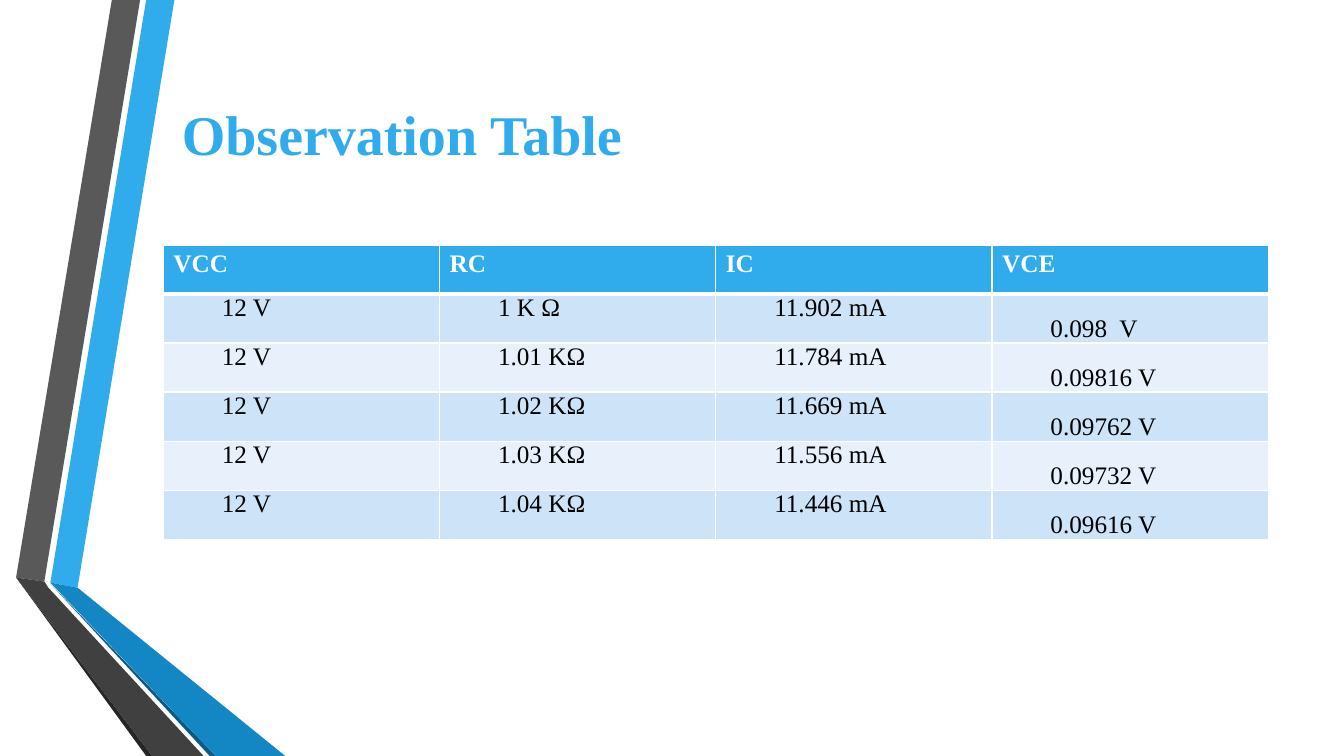
from dataclasses import dataclass

from lxml import etree
from pptx import Presentation
from pptx.dml.color import RGBColor
from pptx.enum import text
from pptx.oxml import ns
from pptx.util import Inches, Pt

FONT = "Times New Roman"
BLUE, WHITE, BLACK = "30ACEC", "FFFFFF", "000000"
BANDS = ("CDE3F8", "E8F1FB")


@dataclass
class Ribbon:
    color: str
    points: list[tuple[float, float]]


@dataclass
class Reading:
    vcc: str
    rc: str
    ic: str
    vce: str


RIBBONS = [
    Ribbon(BLUE, [(0.5, 5.78), (0.77, 5.83), (1.73, 0), (1.45, 0)]),
    Ribbon("595959", [(1.39, 0), (1.11, 0), (0.16, 5.73), (0.44, 5.77)]),
    Ribbon("262626", [(0.16, 5.73), (1.45, 7.5), (1.51, 7.5)]),
    Ribbon("0C5A82", [(0.5, 5.79), (2.08, 7.5), (2.14, 7.5)]),
    Ribbon("1287C3", [(0.5, 5.78), (2.14, 7.5), (2.83, 7.5), (0.77, 5.83)]),
    Ribbon("404040", [(2.02, 7.5), (0.48, 5.83), (0.44, 5.77), (0.16, 5.73),
                      (1.51, 7.5)]),
]
HEADINGS = ("VCC", "RC", "IC", "VCE")
READINGS = [
    Reading("12 V", "1 K Ω", "11.902 mA", "0.098  V"),
    Reading("12 V", "1.01 KΩ", "11.784 mA", "0.09816 V"),
    Reading("12 V", "1.02 KΩ", "11.669 mA", "0.09762 V"),
    Reading("12 V", "1.03 KΩ", "11.556 mA", "0.09732 V"),
    Reading("12 V", "1.04 KΩ", "11.446 mA", "0.09616 V"),
]
COL_WIDTH, ROW_HEIGHT = 2.74, 0.487


def paint(fill, color: str) -> None:
    fill.solid()
    fill.fore_color.rgb = RGBColor.from_string(color)


def add_run(p, words: str, size: int, color: str, bold: bool) -> None:
    r = p.add_run()
    r.text = words
    r.font.name, r.font.size, r.font.bold = FONT, Pt(size), bold
    r.font.color.rgb = RGBColor.from_string(color)


def draw_ribbon(s, ribbon: Ribbon) -> None:
    start, *rest = [(Inches(x), Inches(y)) for x, y in ribbon.points]
    builder = s.shapes.build_freeform(*start)
    builder.add_line_segments(rest, close=True)
    sp = builder.convert_to_shape()
    sp.shadow.inherit = False
    paint(sp.fill, ribbon.color)
    sp.line.fill.background()


def set_borders(cell, top: float, bottom: float) -> None:
    """White cell borders; top and bottom widths in points."""
    tc_pr = cell._tc.get_or_add_tcPr()
    widths = {"lnL": 1, "lnR": 1, "lnT": top, "lnB": bottom}
    for i, (tag, width) in enumerate(widths.items()):
        ln = etree.Element(ns.qn(f"a:{tag}"), w=str(Pt(width)))
        fill = etree.SubElement(ln, ns.qn("a:solidFill"))
        etree.SubElement(fill, ns.qn("a:srgbClr"), val=WHITE)
        tc_pr.insert(i, ln)


def fill_heading(cell, words: str) -> None:
    paint(cell.fill, BLUE)
    set_borders(cell, 1, 3)
    add_run(cell.text_frame.paragraphs[0], words, 18, WHITE, True)


def fill_reading(cell, words: str, row: int, at_bottom: bool) -> None:
    paint(cell.fill, BANDS[row % 2])
    set_borders(cell, 1 if row else 3, 1)
    cell.margin_left = cell.margin_right = Inches(0.07)
    cell.margin_top = cell.margin_bottom = 0
    if at_bottom:
        cell.vertical_anchor = text.MSO_ANCHOR.BOTTOM
    p = cell.text_frame.paragraphs[0]
    p.alignment = text.PP_ALIGN.JUSTIFY
    p_pr = p._p.get_or_add_pPr()
    p_pr.set("marL", str(Inches(0.5)))
    p_pr.set("indent", str(Inches(0.01)))
    add_run(p, words, 18, BLACK, False)


def add_title(s) -> None:
    sp = s.shapes.title
    sp.left, sp.top = Inches(1.62), Inches(0.75)
    sp.width, sp.height = Inches(4.73), Inches(1.15)
    tf = sp.text_frame
    tf.word_wrap = True
    tf.vertical_anchor = text.MSO_ANCHOR.MIDDLE
    p = tf.paragraphs[0]
    p.alignment = text.PP_ALIGN.CENTER
    add_run(p, "Observation Table", 40, BLUE, True)


def add_observations(s) -> None:
    rows, cols = len(READINGS) + 1, len(HEADINGS)
    table = s.shapes.add_table(
        rows, cols, Inches(1.62), Inches(2.43),
        Inches(cols * COL_WIDTH), Inches(rows * ROW_HEIGHT)).table
    for col, heading in enumerate(HEADINGS):
        fill_heading(table.cell(0, col), heading)
    for row, reading in enumerate(READINGS):
        values = (reading.vcc, reading.rc, reading.ic, reading.vce)
        for col, value in enumerate(values):
            fill_reading(table.cell(row + 1, col), value, row, col == cols - 1)


def main() -> None:
    prs = Presentation()
    prs.slide_width, prs.slide_height = Inches(13.33), Inches(7.5)
    s = prs.slides.add_slide(prs.slide_layouts[5])
    paint(s.background.fill, WHITE)
    for ribbon in RIBBONS:
        draw_ribbon(s, ribbon)
    add_title(s)
    add_observations(s)
    prs.save("out.pptx")


if __name__ == "__main__":
    main()
